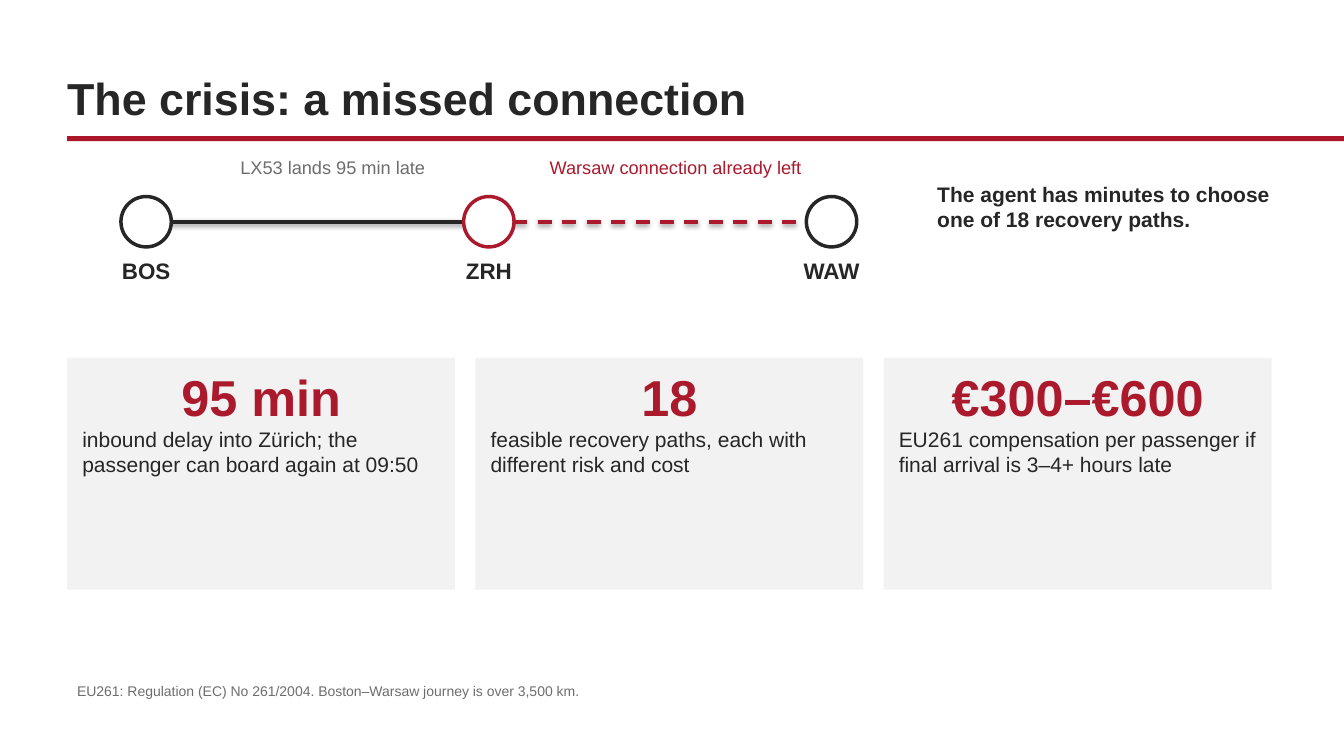
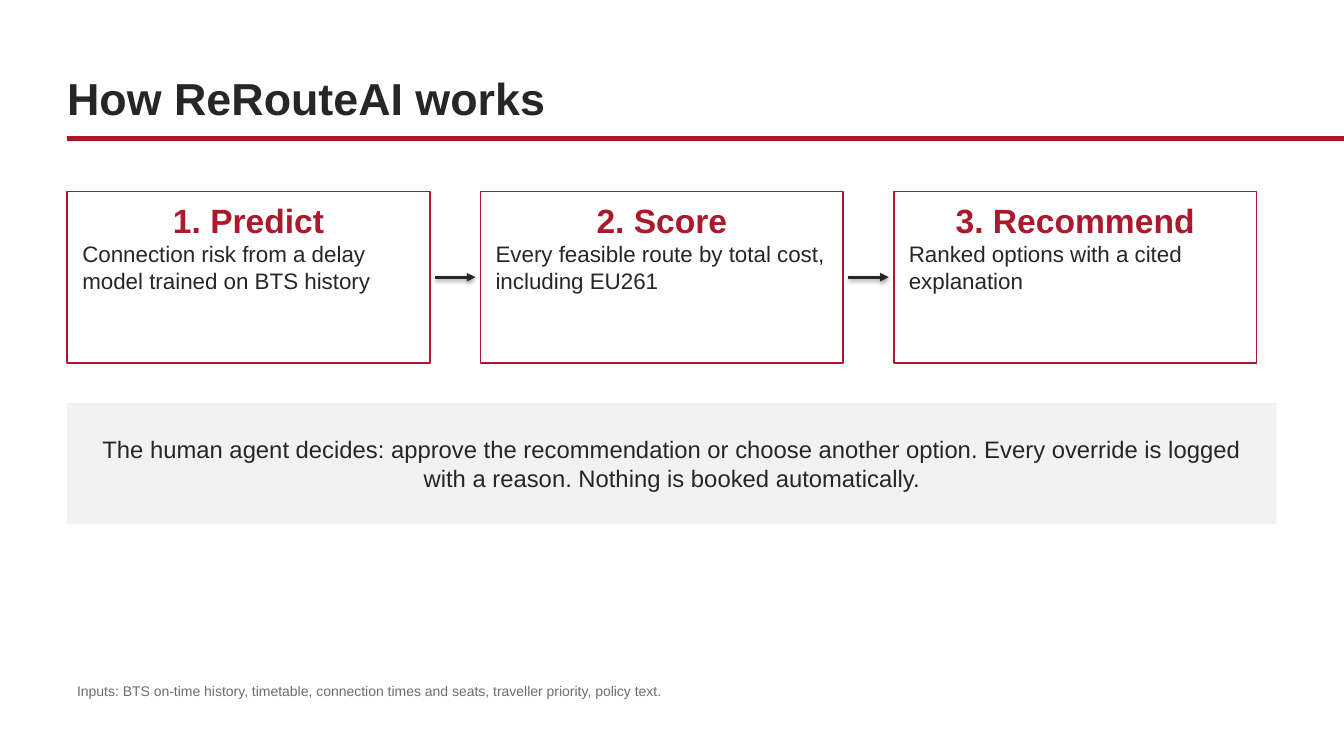
from lxml.etree import SubElement
from pptx import Presentation
from pptx.dml.color import RGBColor
from pptx.enum.dml import MSO_LINE
from pptx.enum.shapes import MSO_CONNECTOR, MSO_SHAPE
from pptx.enum.text import MSO_ANCHOR, MSO_AUTO_SIZE, PP_ALIGN
from pptx.oxml.ns import qn
from pptx.util import Inches, Pt

WIDE, HIGH = Inches(40 / 3), Inches(7.5)
COLS, ROWS = 400 / 3, 75
EDGE = COLS / 20
HUES = {
    "ink": "272626",
    "red": "AB192D",
    "band": "AB162B",
    "gray": "6D6D6D",
    "pale": "F2F2F2",
    "white": "FFFFFF",
}
LEFT, MID = PP_ALIGN.LEFT, PP_ALIGN.CENTER
FONTS = {
    "title": ("ink", LEFT, {"size": Pt(32), "bold": True}),
    "stop": ("ink", MID, {"size": Pt(16), "bold": True}),
    "late": ("gray", MID, {"size": Pt(13)}),
    "left": ("red", MID, {"size": Pt(13)}),
    "call": ("ink", LEFT, {"size": Pt(15), "bold": True}),
    "fact": ("red", MID, {"size": Pt(36), "bold": True}),
    "note": ("ink", LEFT, {"size": Pt(15), "bold": False}),
    "step": ("red", MID, {"size": Pt(24), "bold": True}),
    "task": ("ink", LEFT, {"size": Pt(16), "bold": False}),
    "rule": ("ink", MID, {"size": Pt(17)}),
    "foot": ("gray", LEFT, {"size": Pt(10)}),
}
LABEL = {"word_wrap": True, "auto_size": MSO_AUTO_SIZE.SHAPE_TO_FIT_TEXT}
HEAD = {
    "word_wrap": True,
    "vertical_anchor": MSO_ANCHOR.BOTTOM,
    "margin_left": 0,
    "margin_right": 0,
}
PANEL = {
    "word_wrap": True,
    "vertical_anchor": MSO_ANCHOR.TOP,
    "margin_left": Inches(0.15),
    "margin_right": Inches(0.15),
    "margin_top": Inches(0.08),
    "margin_bottom": Inches(0.08),
}


def hue(name):
    return RGBColor.from_string(HUES[name])


def spot(col, row):
    return int(WIDE * col / COLS), int(HIGH * row / ROWS)


def area(col, row, wide, high):
    return *spot(col, row), *spot(wide, high)


def apply(item, form):
    for key, val in form.items():
        setattr(item, key, val)


def write(frame, form, *parts):
    apply(frame, form)
    for num, (style, text) in enumerate(parts):
        para = frame.paragraphs[0] if num == 0 else frame.add_paragraph()
        tint, align, font = FONTS[style]
        para.alignment = align
        run = para.add_run()
        run.text = text
        apply(run.font, {"name": "Arial", **font})
        run.font.color.rgb = hue(tint)


def label(slide, box, style, text, form=LABEL):
    frame = slide.shapes.add_textbox(*area(*box)).text_frame
    write(frame, form, (style, text))
    return frame


def shape(slide, box, fill=None, line=None, thick=1, kind=MSO_SHAPE.RECTANGLE):
    item = slide.shapes.add_shape(kind, *area(*box))
    item.shadow.inherit = False
    if fill:
        item.fill.solid()
        item.fill.fore_color.rgb = hue(fill)
    else:
        item.fill.background()
    if line:
        item.line.color.rgb = hue(line)
        item.line.width = Pt(thick)
    else:
        item.line.fill.background()
    return item


def link(slide, start, end, row, tint, form, arrow=False):
    item = slide.shapes.add_connector(
        MSO_CONNECTOR.STRAIGHT, *spot(start, row), *spot(end, row)
    )
    item.line.color.rgb = hue(tint)
    apply(item.line, form)
    if arrow:
        SubElement(item.line._get_or_add_ln(), qn("a:tailEnd"), type="triangle")


def page(deck, title, foot):
    slide = deck.slides.add_slide(deck.slide_layouts[6])
    slide.background.fill.solid()
    slide.background.fill.fore_color.rgb = hue("white")
    shape(slide, (EDGE, 13.5, COLS - EDGE, 0.5), "band")
    frame = label(slide, (EDGE, 4, 120, 8.8), "title", title, HEAD)
    frame.paragraphs[0].line_spacing = Pt(38)
    label(slide, (EDGE, 67.2, 90, 3.5), "foot", foot)
    return slide


def stop(slide, mid, name, tint):
    shape(slide, (mid - 2.5, 19.5, 5, 5), "white", tint, 2.5, MSO_SHAPE.OVAL)
    label(slide, (mid - 6.5, 25, 13, 4), "stop", name)


def crisis(deck):
    slide = page(
        deck,
        "The crisis: a missed connection",
        "EU261: Regulation (EC) No 261/2004. Boston–Warsaw journey is over 3,500 km.",
    )
    mids = [14.5 + 34 * num for num in range(3)]
    thick = {"width": Pt(2.5)}
    link(slide, mids[0], mids[1], 22, "ink", thick)
    link(slide, mids[1], mids[2], 22, "red", {**thick, "dash_style": MSO_LINE.DASH})
    for mid, name, tint in zip(mids, ("BOS", "ZRH", "WAW"), ("ink", "red", "ink")):
        stop(slide, mid, name, tint)
    label(slide, (18, 15, 30, 3.5), "late", "LX53 lands 95 min late")
    label(slide, (50, 15, 34, 3.5), "left", "Warsaw connection already left")
    label(
        slide,
        (92, 17.5, 35, 10),
        "call",
        "The agent has minutes to choose one of 18 recovery paths.",
    )
    facts = (
        ("95 min", "inbound delay into Zürich; the passenger can board again at 09:50"),
        ("18", "feasible recovery paths, each with different risk and cost"),
        (
            "€300–€600",
            "EU261 compensation per passenger if final arrival is 3–4+ hours late",
        ),
    )
    for num, (fact, note) in enumerate(facts):
        card = shape(slide, (EDGE + 40.5 * num, 35.5, 38.5, 23), "pale")
        write(card.text_frame, PANEL, ("fact", fact), ("note", note))


def method(deck):
    slide = page(
        deck,
        "How ReRouteAI works",
        "Inputs: BTS on-time history, timetable, connection times and seats, "
        "traveller priority, policy text.",
    )
    steps = (
        ("1. Predict", "Connection risk from a delay model trained on BTS history"),
        ("2. Score", "Every feasible route by total cost, including EU261"),
        ("3. Recommend", "Ranked options with a cited explanation"),
    )
    wide, gap = 36, 5
    for num, (step, task) in enumerate(steps):
        col = EDGE + (wide + gap) * num
        if num:
            link(
                slide, col - gap + 0.5, col - 0.5, 27.5, "ink", {"width": Pt(2)}, True
            )
        card = shape(slide, (col, 19, wide, 17), line="red", thick=1.25)
        write(card.text_frame, PANEL, ("step", step), ("task", task))
    panel = shape(slide, (EDGE, 40, 120, 12), "pale")
    write(
        panel.text_frame,
        {**PANEL, "vertical_anchor": MSO_ANCHOR.MIDDLE},
        (
            "rule",
            "The human agent decides: approve the recommendation or choose another "
            "option. Every override is logged with a reason. Nothing is booked "
            "automatically.",
        ),
    )


def main():
    deck = Presentation()
    apply(deck, {"slide_width": WIDE, "slide_height": HIGH})
    crisis(deck)
    method(deck)
    deck.save("out.pptx")


if __name__ == "__main__":
    main()
